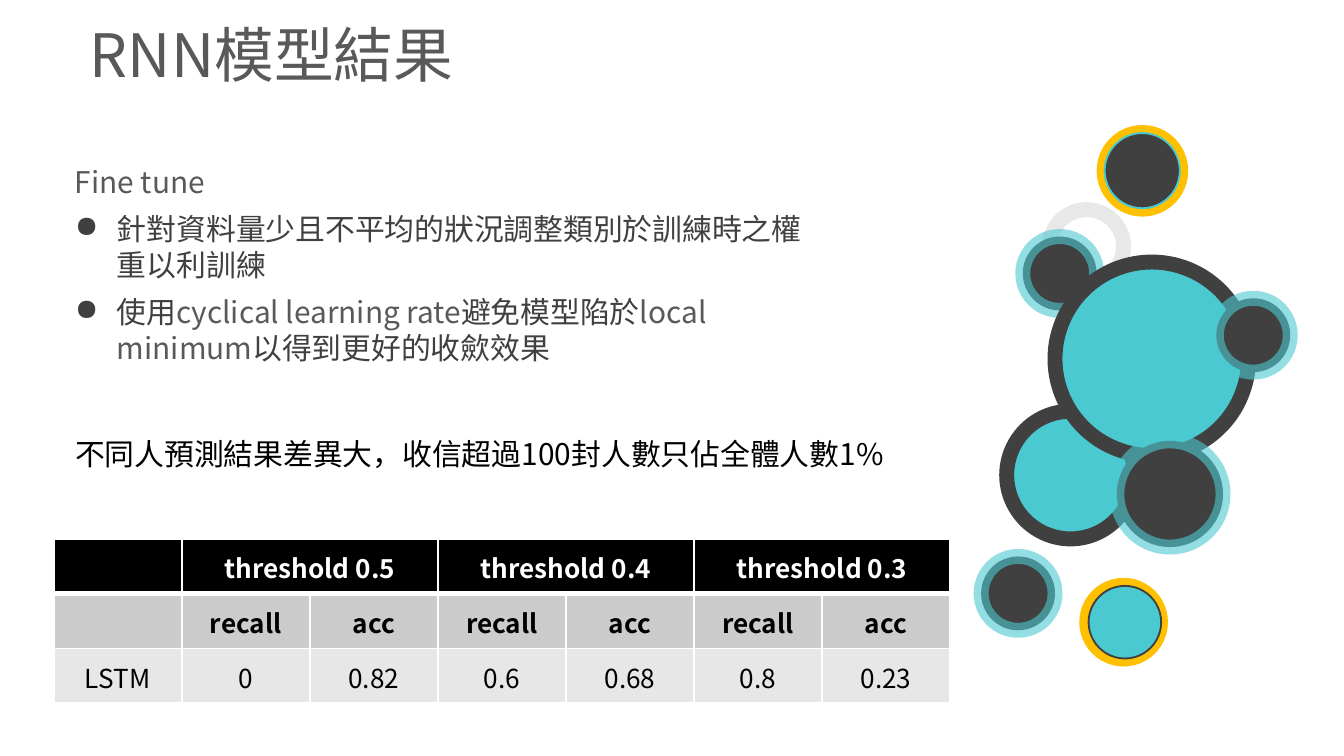
from dataclasses import dataclass

from lxml import etree
from pptx import Presentation
from pptx import util as u
from pptx.dml import color
from pptx.enum import shapes, text
from pptx.oxml import ns

Pt = u.Pt


@dataclass(frozen=True)
class Theme:
    font: str = "Noto Sans CJK SC"
    black: str = "000000"
    white: str = "FFFFFF"
    dark: str = "404040"
    grey: str = "595959"
    pale: str = "D9D9D9"
    teal: str = "4BC9D0"
    gold: str = "FFC000"
    subheader: str = "CCCCCC"
    row: str = "E7E7E7"
    title_size: int = 32
    body_size: int = 16
    table_size: int = 14


THEME = Theme()

# left, top, diameter, fill, line colour, line width, line opacity in percent
CIRCLES = [
    (587.5, 67, 49, THEME.gold, None, 0, 100),
    (591.8, 71.3, 40.3, THEME.dark, THEME.teal, 1, 100),
    (539.3, 220.3, 68.4, THEME.teal, THEME.dark, 8, 100),
    (562.3, 112.3, 39.6, None, THEME.pale, 8, 60),
    (547.9, 126.7, 39.6, THEME.dark, THEME.teal, 8, 60),
    (565.2, 140.4, 103.7, THEME.teal, THEME.dark, 8, 100),
    (651.6, 159.8, 39.6, THEME.dark, THEME.teal, 8, 60),
    (598.3, 236.2, 56.9, THEME.dark, THEME.teal, 8, 60),
    (525.6, 298.1, 39.6, THEME.dark, THEME.teal, 8, 60),
    (578.2, 309.6, 47.5, THEME.gold, None, 0, 100),
    (583.2, 313.9, 38.9, THEME.teal, THEME.dark, 1, 100),
]

# is bulleted, then runs of wording and colour
FINE_TUNE = [
    (False, [("Fine tune", THEME.grey)]),
    (True, [("針對資料量少且不平均的狀況調整類別於訓練時之權重以利訓練", THEME.dark)]),
    (True, [("使用", THEME.dark), ("cyclical learning rate", THEME.grey),
            ("避免模型陷於", THEME.dark), ("local minimum", THEME.grey),
            ("以得到更好的收歛效果", THEME.dark)]),
]
FINDING = [(False, [("不同人預測結果差異大，收信超過100封人數只佔全體人數1%", THEME.black)])]

RESULTS = [
    ["", "threshold 0.5", "", "threshold 0.4", "", "threshold 0.3", ""],
    [""] + ["recall", "acc"] * 3,
    ["LSTM", "0", "0.82", "0.6", "0.68", "0.8", "0.23"],
]
# fill, text colour, bold, bottom border width
ROW_STYLES = [
    (THEME.black, THEME.white, True, 3),
    (THEME.subheader, THEME.black, True, 1),
    (THEME.row, THEME.black, False, 1),
]


def rgb(value):
    return color.RGBColor.from_string(value)


def apply(target, **values):
    for name, value in values.items():
        setattr(target, name, value)


def add_run(paragraph, wording, size, colour, bold=False):
    run = paragraph.add_run()
    run.text = wording
    apply(run.font, name=THEME.font, size=Pt(size), bold=bold)
    run.font.color.rgb = rgb(colour)
    east_asian = etree.SubElement(run.font._element, ns.qn("a:ea"))
    east_asian.set("typeface", THEME.font)


def add_bullet(paragraph, indent):
    properties = paragraph._p.get_or_add_pPr()
    properties.set("marL", str(indent))
    properties.set("indent", str(-indent))
    etree.SubElement(properties, ns.qn("a:buChar")).set("char", "●")


def set_title(slide, wording):
    title = slide.shapes.title
    apply(title, left=Pt(48.2), top=Pt(13.7), width=Pt(339.8), height=Pt(30.2))
    frame = title.text_frame
    apply(frame, margin_left=0, margin_right=0, margin_top=Pt(3.6), margin_bottom=Pt(3.6),
          vertical_anchor=text.MSO_ANCHOR.MIDDLE, auto_size=text.MSO_AUTO_SIZE.NONE,
          word_wrap=True)
    paragraph = frame.paragraphs[0]
    paragraph.alignment = text.PP_ALIGN.LEFT
    add_run(paragraph, wording, THEME.title_size, THEME.grey)


def add_text(slide, left, top, width, height, paragraphs):
    box = slide.shapes.add_textbox(Pt(left), Pt(top), Pt(width), Pt(height))
    frame = box.text_frame
    apply(frame, word_wrap=True, auto_size=text.MSO_AUTO_SIZE.SHAPE_TO_FIT_TEXT)
    for index, (bulleted, runs) in enumerate(paragraphs):
        paragraph = frame.add_paragraph() if index else frame.paragraphs[0]
        if index:
            paragraph.space_before = Pt(6)
        if bulleted:
            add_bullet(paragraph, Pt(22.5))
        for wording, colour in runs:
            add_run(paragraph, wording, THEME.body_size, colour)


def add_circle(slide, left, top, diameter, fill, line, width, opacity):
    circle = slide.shapes.add_shape(
        shapes.MSO_SHAPE.OVAL, Pt(left), Pt(top), Pt(diameter), Pt(diameter))
    circle.shadow.inherit = False
    for part, colour in ((circle.fill, fill), (circle.line.fill, line)):
        if colour:
            part.solid()
            part.fore_color.rgb = rgb(colour)
        else:
            part.background()
    if line:
        circle.line.width = Pt(width)
    if opacity < 100:
        line_colour = circle.line._ln.find(".//" + ns.qn("a:srgbClr"))
        etree.SubElement(line_colour, ns.qn("a:alpha")).set("val", str(opacity * 1000))


def set_borders(cell, bottom):
    """Draw white borders; they must come before the fill in the cell's XML."""
    properties = cell._tc.get_or_add_tcPr()
    for side, width in (("L", 1), ("R", 1), ("T", 1), ("B", bottom)):
        border = etree.SubElement(properties, ns.qn(f"a:ln{side}"), w=str(Pt(width)))
        fill = etree.SubElement(border, ns.qn("a:solidFill"))
        etree.SubElement(fill, ns.qn("a:srgbClr")).set("val", THEME.white)


def add_results_table(slide):
    frame = slide.shapes.add_table(
        len(RESULTS), len(RESULTS[0]), Pt(28.8), Pt(288.9), Pt(480.2), Pt(87.9))
    table = frame.table
    apply(table, first_row=False, horz_banding=False)
    for column in table.columns:
        column.width = Pt(68.6)
    for row, wordings, style in zip(table.rows, RESULTS, ROW_STYLES):
        fill, colour, bold, bottom = style
        row.height = Pt(29.3)
        for cell, wording in zip(row.cells, wordings):
            set_borders(cell, bottom)
            cell.fill.solid()
            cell.fill.fore_color.rgb = rgb(fill)
            apply(cell, margin_left=Pt(0.7), margin_right=Pt(0.7), margin_top=Pt(0.7),
                  margin_bottom=0, vertical_anchor=text.MSO_ANCHOR.MIDDLE)
            paragraph = cell.text_frame.paragraphs[0]
            paragraph.alignment = text.PP_ALIGN.CENTER
            if wording:
                add_run(paragraph, wording, THEME.table_size, colour, bold)
    for column in (1, 3, 5):
        table.cell(0, column).merge(table.cell(0, column + 1))


def main():
    presentation = Presentation()
    apply(presentation, slide_width=Pt(720), slide_height=Pt(405))
    slide = presentation.slides.add_slide(presentation.slide_layouts[5])
    for circle in CIRCLES:
        add_circle(slide, *circle)
    set_title(slide, "RNN模型結果")
    add_text(slide, 33.1, 84.2, 417.6, 118.8, FINE_TUNE)
    add_text(slide, 33.1, 229.7, 483.1, 26.6, FINDING)
    add_results_table(slide)
    presentation.save("out.pptx")


if __name__ == "__main__":
    main()
